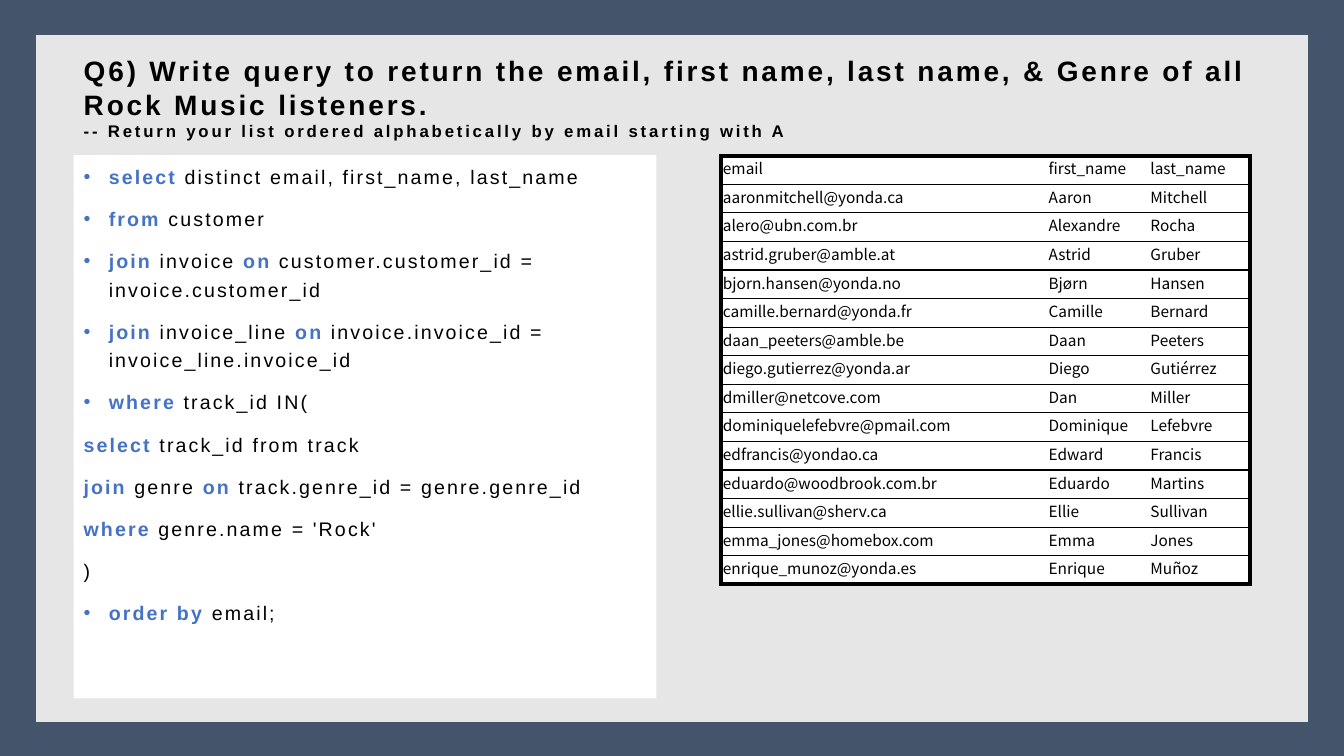
from dataclasses import dataclass

from pptx import Presentation
from pptx import util as u
from pptx.dml.color import RGBColor
from pptx.enum import shapes, text
from pptx.oxml.ns import qn
from lxml import etree


@dataclass(frozen=True)
class Theme:
    navy: str = "44546A"
    panel: str = "E7E6E6"
    white: str = "FFFFFF"
    black: str = "000000"
    keyword: str = "4472C4"
    font: str = "Arial"
    table_font: str = "Noto Sans CJK SC"
    title_size: int = 20
    note_size: int = 12
    code_size: int = 14
    table_size: int = 11
    title_tracking: int = 200
    code_tracking: int = 150


T = Theme()
W, H = u.Inches(13.33), u.Inches(7.5)

QUESTION = ("Q6) Write query to return the email, first name, last name, "
            "& Genre of all Rock Music listeners.")
ORDER_NOTE = "-- Return your list ordered alphabetically by email starting with A"

# Query lines: (bulleted, text); keywords stand between asterisks
QUERY = [
    (True, "*select* distinct email, first_name, last_name"),
    (True, "*from* customer"),
    (True, "*join* invoice *on* customer.customer_id = invoice.customer_id"),
    (True, "*join* invoice_line *on* invoice.invoice_id = invoice_line.invoice_id"),
    (True, "*where* track_id IN("),
    (False, "*select* track_id from track"),
    (False, "*join* genre *on* track.genre_id = genre.genre_id"),
    (False, "*where* genre.name = 'Rock'"),
    (False, ")"),
    (True, "*order by* email;"),
]

LISTENERS = [
    ("email", "first_name", "last_name"),
    ("aaronmitchell@yonda.ca", "Aaron", "Mitchell"),
    ("alero@ubn.com.br", "Alexandre", "Rocha"),
    ("astrid.gruber@amble.at", "Astrid", "Gruber"),
    ("bjorn.hansen@yonda.no", "Bjørn", "Hansen"),
    ("camille.bernard@yonda.fr", "Camille", "Bernard"),
    ("daan_peeters@amble.be", "Daan", "Peeters"),
    ("diego.gutierrez@yonda.ar", "Diego", "Gutiérrez"),
    ("dmiller@netcove.com", "Dan", "Miller"),
    ("dominiquelefebvre@pmail.com", "Dominique", "Lefebvre"),
    ("edfrancis@yondao.ca", "Edward", "Francis"),
    ("eduardo@woodbrook.com.br", "Eduardo", "Martins"),
    ("ellie.sullivan@sherv.ca", "Ellie", "Sullivan"),
    ("emma_jones@homebox.com", "Emma", "Jones"),
    ("enrique_munoz@yonda.es", "Enrique", "Muñoz"),
]
COLUMN_SHARES = (16, 5, 5)


def rgb(value):
    return RGBColor.from_string(value)


def box(left, top, width, height):
    """Turn percentages of the slide into lengths."""
    return (int(W * left / 100), int(H * top / 100),
            int(W * width / 100), int(H * height / 100))


def add_run(p, words, size, color=T.black, bold=False, font=T.font, tracking=None):
    r = p.add_run()
    r.text = words
    r.font.size, r.font.bold, r.font.name = u.Pt(size), bold, font
    r.font.color.rgb = rgb(color)
    if tracking:
        r.font._element.set("spc", str(tracking))


def add_panel(s, place, fill, line=None):
    sp = s.shapes.add_shape(shapes.MSO_SHAPE.RECTANGLE, *place)
    sp.shadow.inherit = False
    sp.fill.solid()
    sp.fill.fore_color.rgb = rgb(fill)
    if line:
        sp.line.color.rgb = rgb(line)
        sp.line.width = u.Pt(2)
    else:
        sp.line.fill.background()
    return sp


def set_title(s, place):
    sp = s.shapes.title
    sp.left, sp.top, sp.width, sp.height = place
    tf = sp.text_frame
    tf.word_wrap = True
    tf.auto_size = text.MSO_AUTO_SIZE.NONE
    tf.vertical_anchor = text.MSO_ANCHOR.TOP
    p = tf.paragraphs[0]
    p.alignment = text.PP_ALIGN.LEFT
    add_run(p, QUESTION, T.title_size, bold=True, tracking=T.title_tracking)
    p.add_line_break()
    add_run(p, ORDER_NOTE, T.note_size, bold=True, tracking=T.title_tracking)


def add_bullet(p):
    pPr = p._p.get_or_add_pPr()
    pPr.set("marL", str(u.Inches(0.25)))
    pPr.set("indent", str(-u.Inches(0.25)))
    etree.SubElement(pPr, qn("a:buFont")).set("typeface", T.font)
    etree.SubElement(pPr, qn("a:buChar")).set("char", "•")


def add_query(s, place):
    tf = add_panel(s, place, T.white).text_frame
    tf.word_wrap = True
    tf.vertical_anchor = text.MSO_ANCHOR.TOP
    for i, (bulleted, line) in enumerate(QUERY):
        p = tf.add_paragraph() if i else tf.paragraphs[0]
        if bulleted:
            add_bullet(p)
        p.alignment = text.PP_ALIGN.LEFT
        p.line_spacing, p.space_after = 1.2, u.Pt(10)
        for j, part in enumerate(line.split("*")):
            is_keyword = j % 2 == 1
            if part:
                add_run(p, part, T.code_size, T.keyword if is_keyword else T.black,
                        is_keyword, tracking=T.code_tracking)


def set_border(cell, side, points):
    ln = etree.SubElement(cell._tc.get_or_add_tcPr(), qn(f"a:ln{side}"))
    if points:
        ln.set("w", str(u.Pt(points)))
        fill = etree.SubElement(ln, qn("a:solidFill"))
        etree.SubElement(fill, qn("a:srgbClr")).set("val", T.black)
    else:
        etree.SubElement(ln, qn("a:noFill"))


def add_listeners(s, place):
    rows, cols = len(LISTENERS), len(COLUMN_SHARES)
    table = s.shapes.add_table(rows, cols, *place).table
    table.first_row = table.horz_banding = False
    for column, share in zip(table.columns, COLUMN_SHARES):
        column.width = place[2] * share // sum(COLUMN_SHARES)
    for i, listener in enumerate(LISTENERS):
        for j, value in enumerate(listener):
            cell = table.cell(i, j)
            # Thick outer frame, thin lines between rows, none between columns
            set_border(cell, "L", 3 if j == 0 else 0)
            set_border(cell, "R", 3 if j == cols - 1 else 0)
            set_border(cell, "T", 3 if i == 0 else 1)
            set_border(cell, "B", 3 if i == rows - 1 else 1)
            cell.fill.solid()
            cell.fill.fore_color.rgb = rgb(T.white)
            cell.vertical_anchor = text.MSO_ANCHOR.MIDDLE
            cell.margin_left = u.Inches(0.02)
            cell.margin_right = cell.margin_top = u.Inches(0.01)
            cell.margin_bottom = u.Inches(0.05)
            add_run(cell.text_frame.paragraphs[0], value, T.table_size,
                    font=T.table_font)


def main():
    prs = Presentation()
    prs.slide_width, prs.slide_height = W, H
    s = prs.slides.add_slide(prs.slide_layouts[5])

    # Background and grey sheet, placed behind the title
    s.background.fill.solid()
    s.background.fill.fore_color.rgb = rgb(T.navy)
    sheet = add_panel(s, box(2.55, 4.4, 94.9, 91.33), T.panel, T.navy)
    s.shapes._spTree.insert(2, sheet._element)

    # Question, query and result
    set_title(s, box(5.48, 6.47, 89.05, 14))
    add_query(s, box(5.48, 20.53, 43.36, 71.87))
    add_listeners(s, box(53.64, 20.6, 39.38, 56.7))
    prs.save("out.pptx")


if __name__ == "__main__":
    main()
